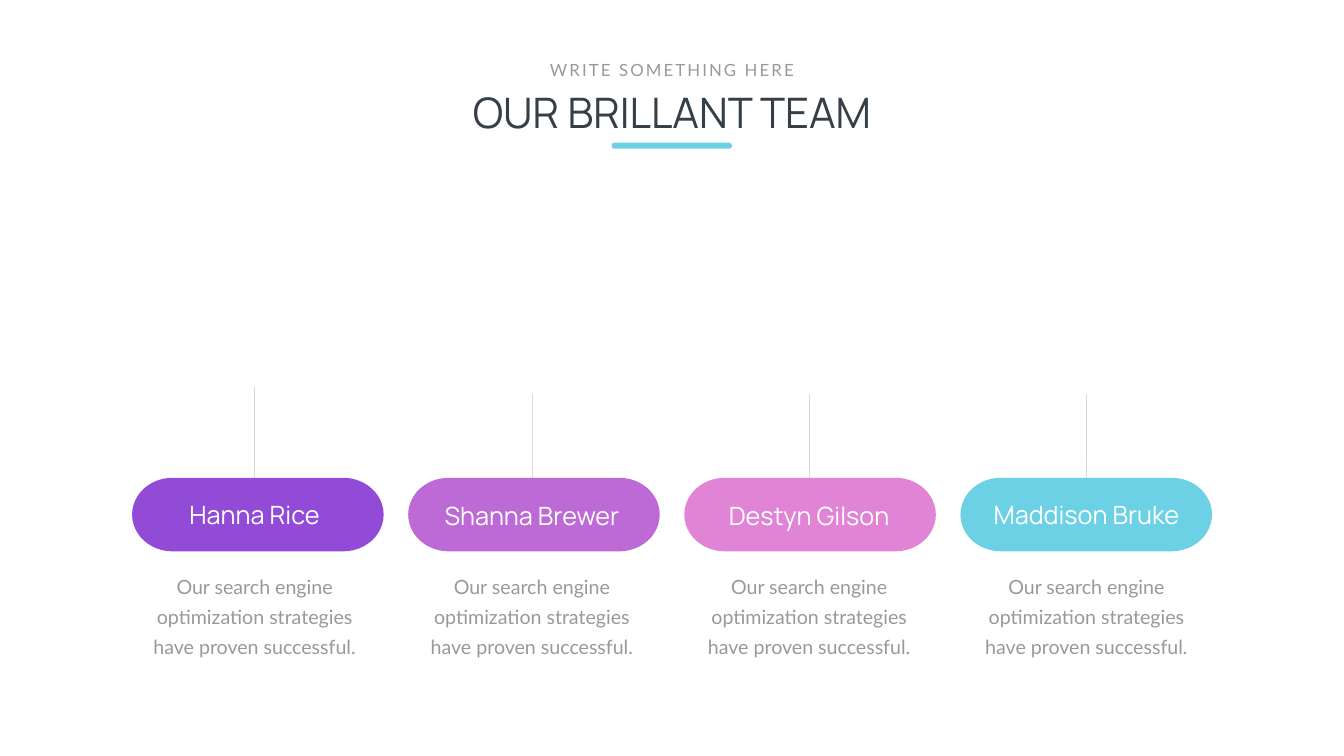
from pptx import Presentation
from pptx.dml.color import RGBColor
from pptx.enum.shapes import MSO_CONNECTOR, MSO_SHAPE
from pptx.enum.text import MSO_AUTO_SIZE, PP_ALIGN
from pptx.oxml.ns import qn
from pptx.util import Inches, Pt

# Content
KICKER = "WRITE SOMETHING HERE"
TITLE = "OUR BRILLANT TEAM"
BIO = "Our search engine optimization strategies have proven successful."
# name, pill colour, name top, name width, stem top
TEAM = [
    ("Hanna Rice", "914BD7", 9.85, 3.1, 7.68),
    ("Shanna Brewer", "BD6AD7", 9.88, 4.05, 7.81),
    ("Destyn Gilson", "E184D6", 9.88, 3.66, 7.81),
    ("Maddison Bruke", "6CD1E5", 9.85, 4.29, 7.81),
]
DARK, GREY, RULE, WHITE, ACCENT = "363E48", "999999", "D9D9D9", "FFFFFF", "6CD1E5"

# Layout
SLIDE_W, SLIDE_H = 26.66, 15
FIRST_CENTER, COLUMN_STEP = 5.05, 5.5
FIRST_PILL, PILL_STEP = 2.62, 5.477
PILL_TOP, PILL_W, PILL_H = 9.48, 4.99, 1.46
STEM_BOTTOM = 9.7
BIO_TOP, BIO_W, BIO_H = 11.23, 4.44, 1.85

prs = Presentation()
prs.slide_width, prs.slide_height = Inches(SLIDE_W), Inches(SLIDE_H)
slide = prs.slides.add_slide(prs.slide_layouts[6])


def rgb(value):
    return RGBColor.from_string(value)


def add_text(text, center, top, width, height, size, font, color,
             wrap=True, leading=None, spacing=None):
    sp = slide.shapes.add_textbox(Inches(center - width / 2), Inches(top),
                                  Inches(width), Inches(height))
    tf = sp.text_frame
    tf.word_wrap = wrap
    tf.auto_size = MSO_AUTO_SIZE.SHAPE_TO_FIT_TEXT
    p = tf.paragraphs[0]
    p.text = text
    p.alignment = PP_ALIGN.CENTER
    if leading:
        p.line_spacing = Pt(leading)
    r = p.runs[0]
    r.font.size, r.font.name = Pt(size), font
    r.font.color.rgb = rgb(color)
    if spacing:
        r.font._element.set("spc", str(spacing * 100))


def add_bar(kind, left, top, width, height, color):
    sp = slide.shapes.add_shape(kind, Inches(left), Inches(top),
                                Inches(width), Inches(height))
    sp.shadow.inherit = False
    sp.fill.solid()
    sp.fill.fore_color.rgb = rgb(color)
    sp.line.fill.background()
    return sp


def add_stem(x, top, bottom):
    line = slide.shapes.add_connector(MSO_CONNECTOR.STRAIGHT, Inches(x), Inches(top),
                                      Inches(x), Inches(bottom))
    line.line.color.rgb = rgb(RULE)
    line.line.width = Pt(0.5)
    sp_pr = line._element.spPr
    sp_pr.append(sp_pr.makeelement(qn("a:effectLst"), {}))


# Heading
add_text(TITLE, SLIDE_W / 2, 1.67, 16.06, 1.11, 60, "Manrope", DARK)
add_text(KICKER, SLIDE_W / 2, 1.13, 5.14, 0.5, 24, "Lato", GREY, wrap=False, spacing=3)
underline = add_bar(MSO_SHAPE.ROUNDED_RECTANGLE, 12.13, 2.83, 2.39, 0.12, ACCENT)
underline.adjustments[0] = 0.5

# Team columns: stem, pill, name and bio
for i, (name, color, name_top, name_w, stem_top) in enumerate(TEAM):
    center = FIRST_CENTER + i * COLUMN_STEP
    add_stem(center, stem_top, STEM_BOTTOM)
    add_bar(MSO_SHAPE.FLOWCHART_TERMINATOR, FIRST_PILL + i * PILL_STEP, PILL_TOP,
            PILL_W, PILL_H, color)
    add_text(name, center, name_top, name_w, 0.71, 36, "Manrope", WHITE, wrap=False)
    add_text(BIO, center, BIO_TOP, BIO_W, BIO_H, 28, "Lato", GREY, leading=43)

prs.save("out.pptx")
